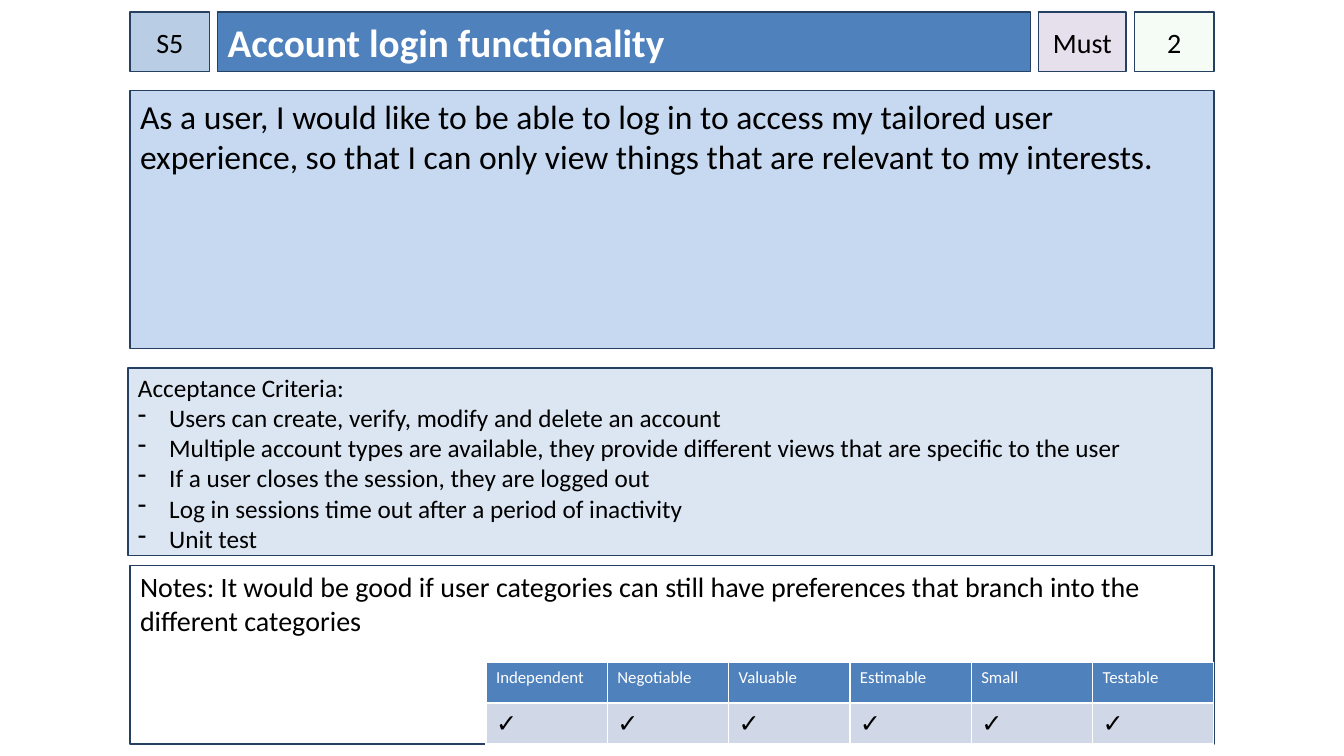
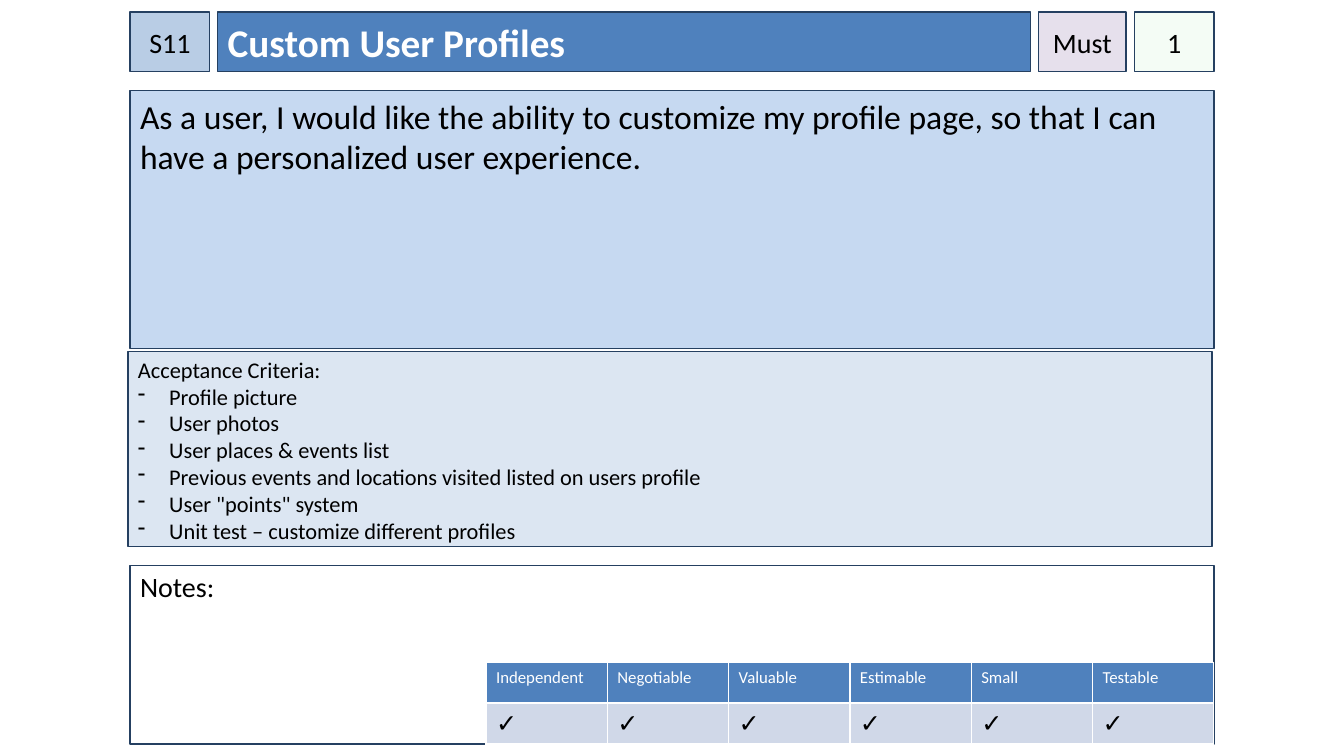
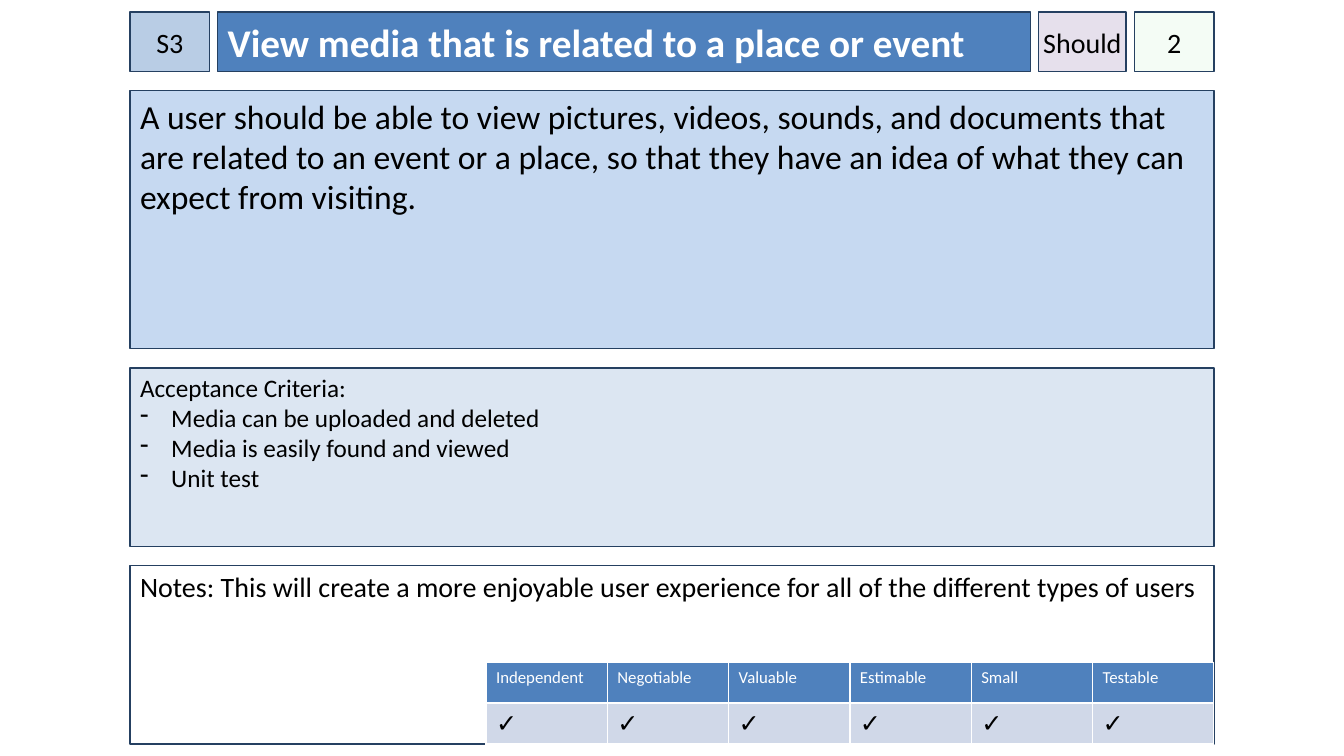
from lxml import etree
from pptx import Presentation
from pptx.dml.color import RGBColor
from pptx.enum.shapes import MSO_SHAPE
from pptx.enum.text import MSO_ANCHOR, PP_ALIGN
from pptx.oxml.ns import qn
from pptx.util import Inches, Pt

RECT = MSO_SHAPE.RECTANGLE
TOP, MIDDLE = MSO_ANCHOR.TOP, MSO_ANCHOR.MIDDLE
LEFT, CENTER = PP_ALIGN.LEFT, PP_ALIGN.CENTER

# Content: one card per slide
CARDS = [
    {
        "id": "S5", "title": "Account login functionality",
        "rank": "Must", "points": "2",
        "story": "As a user, I would like to be able to log in to access my tailored "
                 "user experience, so that I can only view things that are relevant "
                 "to my interests.",
        "tests": ["Users can create, verify, modify and delete an account",
                  "Multiple account types are available, they provide different "
                  "views that are specific to the user",
                  "If a user closes the session, they are logged out",
                  "Log in sessions time out after a period of inactivity",
                  "Unit test"],
        "box": (-0.02, 3.65, 1.86), "size": 18,
        "notes": "Notes: It would be good if user categories can still have "
                 "preferences that branch into the different categories",
    },
    {
        "id": "S11", "title": "Custom User Profiles",
        "rank": "Must", "points": "1",
        "story": "As a user, I would like the ability to customize my profile page, "
                 "so that I can have a personalized user experience.",
        "tests": ["Profile picture", "User photos", "User places & events list",
                  "Previous events and locations visited listed on users profile",
                  'User "points" system',
                  "Unit test – customize different profiles"],
        "box": (-0.02, 3.49, 1.93), "size": 16,
        "notes": "Notes:",
    },
    {
        "id": "S3", "title": "View media that is related to a place or event",
        "rank": "Should", "points": "2",
        "story": "A user should be able to view pictures, videos, sounds, and "
                 "documents that are related to an event or a place, so that they "
                 "have an idea of what they can expect from visiting.",
        "tests": ["Media can be uploaded and deleted",
                  "Media is easily found and viewed", "Unit test"],
        "box": (0, 3.65, 1.77), "size": 18,
        "notes": "Notes: This will create a more enjoyable user experience for all "
                 "of the different types of users",
    },
]
CHECKS = ["Independent", "Negotiable", "Valuable", "Estimable", "Small", "Testable"]

# Shared look
FONT = "Calibri"
BLACK, WHITE = RGBColor(0, 0, 0), RGBColor(255, 255, 255)
NAVY = RGBColor(0x25, 0x40, 0x61)
BLUE = RGBColor(0x4F, 0x81, 0xBD)
STEEL = RGBColor(0xB9, 0xCD, 0xE5)
SKY = RGBColor(0xC6, 0xD9, 0xF1)
PALE = RGBColor(0xDC, 0xE6, 0xF2)
LILAC = RGBColor(0xE6, 0xE0, 0xEC)
MINT = RGBColor(0xCC, 0xF0, 0xCD)
MIST = RGBColor(0xD0, 0xD8, 0xE8)

# Grid, in inches
EDGE, WIDE, GAP = 1.29, 10.75, 0.08
HEAD_Y, HEAD_H = 0.12, 0.59
TAG, RANK = 0.79, 0.87
HEAD = [TAG, WIDE - 2 * TAG - RANK - 3 * GAP, RANK, TAG]
STORY_Y, STORY_H = 0.9, 2.56
NOTES_Y, NOTES_H = 5.61, 1.77
GRID_W, GRID_H = 7.22, 0.81
INDENT = 0.31

# Text formats
BASE = {"size": 20, "color": BLACK, "bold": False, "align": LEFT,
        "anchor": TOP, "wrap": True, "side": 0.1, "top": 0.05}
CHIP = {"align": CENTER, "anchor": MIDDLE, "side": 0}
TITLE = {"size": 28, "color": WHITE, "bold": True, "anchor": MIDDLE}
BODY = {"top": 0.04}


def style(par, look):
    par.alignment = look["align"]
    vals = {"name": FONT, "size": Pt(look["size"]), "bold": look["bold"]}
    for run in par.runs:
        for key, val in vals.items():
            setattr(run.font, key, val)
        run.font.color.rgb = look["color"]


def dash(par):
    props = par._p.get_or_add_pPr()
    props.set("marL", str(Inches(INDENT)))
    props.set("indent", str(-Inches(INDENT)))
    etree.SubElement(props, qn("a:buChar")).set("char", "-")


def panel(slide, at, fill, lines, look):
    look = BASE | look
    shape = slide.shapes.add_shape(RECT, *map(Inches, at))
    shape.shadow.inherit = False
    shape.fill.solid()
    shape.fill.fore_color.rgb = fill
    shape.line.color.rgb = NAVY
    shape.line.width = Pt(1)
    frame = shape.text_frame
    side = Inches(look["side"])
    vals = {"word_wrap": look["wrap"], "vertical_anchor": look["anchor"],
            "margin_left": side, "margin_right": side,
            "margin_top": Inches(look["top"]), "margin_bottom": Inches(0.05)}
    for key, val in vals.items():
        setattr(frame, key, val)
    for i, line in enumerate(lines):
        par = frame.add_paragraph() if i else frame.paragraphs[0]
        par.add_run().text = line
        style(par, look)
        if i:
            dash(par)
    return shape


def fade(shape, share):
    tone = shape._element.spPr.find(qn("a:solidFill"))[0]
    etree.SubElement(tone, qn("a:alpha")).set("val", str(share * 1000))


def border(cell):
    props = cell._tc.get_or_add_tcPr()
    for i, side in enumerate("LRTB"):
        line = etree.Element(qn("a:ln" + side), w=str(Pt(1)))
        fill = etree.SubElement(line, qn("a:solidFill"))
        etree.SubElement(fill, qn("a:srgbClr")).set("val", str(WHITE))
        props.insert(i, line)


def checks(slide):
    cols = len(CHECKS)
    rows = [(CHECKS, BLUE, {"size": 12, "color": WHITE}),
            (["✓"] * cols, MIST, {"size": 18})]
    at = (EDGE + WIDE - GRID_W, NOTES_Y + NOTES_H - GRID_H, GRID_W, GRID_H)
    table = slide.shapes.add_table(len(rows), cols, *map(Inches, at)).table
    for r, (words, fill, look) in enumerate(rows):
        for c, word in enumerate(words):
            cell = table.cell(r, c)
            cell.fill.solid()
            cell.fill.fore_color.rgb = fill
            border(cell)
            par = cell.text_frame.paragraphs[0]
            par.add_run().text = word
            style(par, BASE | look)


def build(slide, card):
    # Header row
    parts = [("id", STEEL, CHIP), ("title", BLUE, TITLE),
             ("rank", LILAC, CHIP | {"wrap": False}), ("points", MINT, CHIP)]
    x = EDGE
    for (key, fill, look), width in zip(parts, HEAD):
        shape = panel(slide, (x, HEAD_Y, width, HEAD_H), fill, [card[key]], look)
        if key == "points":
            fade(shape, 20)
        x += width + GAP

    # Story, criteria and notes
    shift, y, high = card["box"]
    panel(slide, (EDGE, STORY_Y, WIDE, STORY_H), SKY, [card["story"]], {"size": 24})
    panel(slide, (EDGE + shift, y, WIDE, high), PALE,
          ["Acceptance Criteria:"] + card["tests"], BODY | {"size": card["size"]})
    panel(slide, (EDGE, NOTES_Y, WIDE, NOTES_H), WHITE, [card["notes"]], BODY)
    checks(slide)


def main():
    deck = Presentation()
    deck.slide_width, deck.slide_height = Inches(13.33), Inches(7.5)
    for card in CARDS:
        build(deck.slides.add_slide(deck.slide_layouts[6]), card)
    deck.save("out.pptx")


if __name__ == "__main__":
    main()
